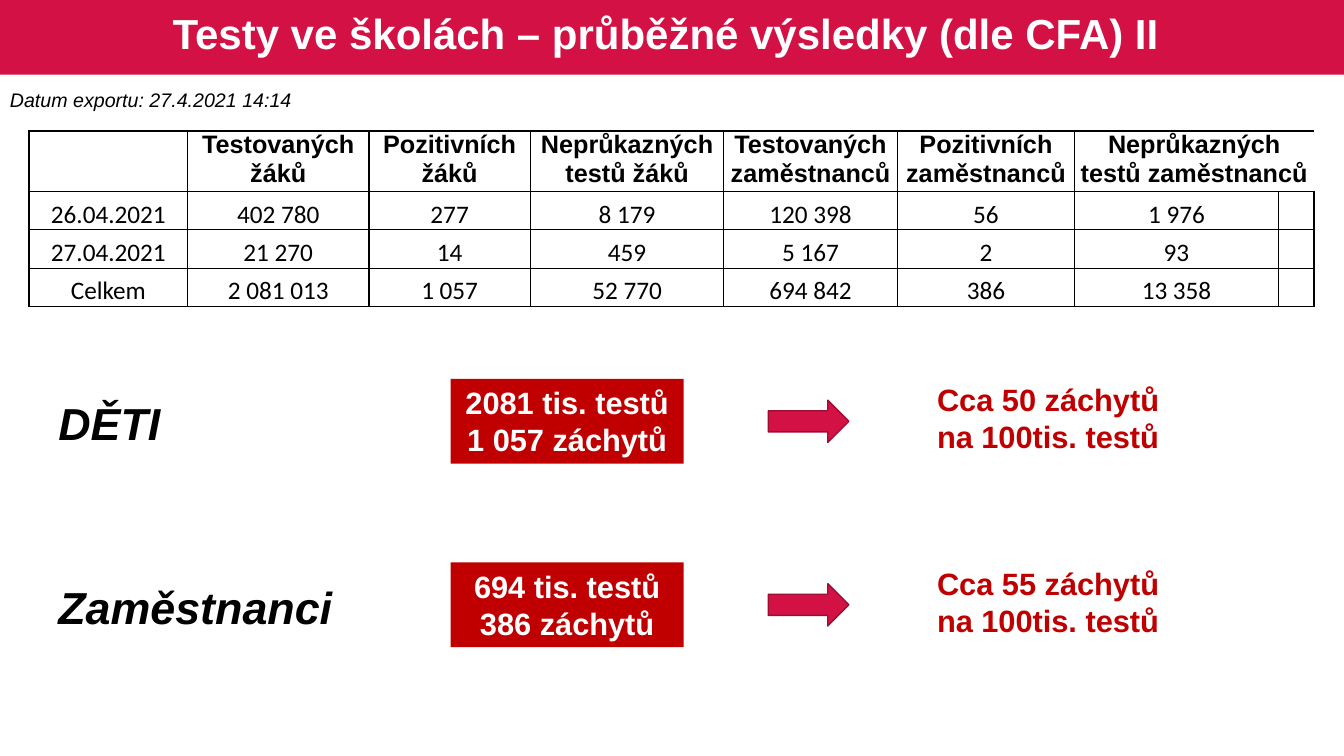
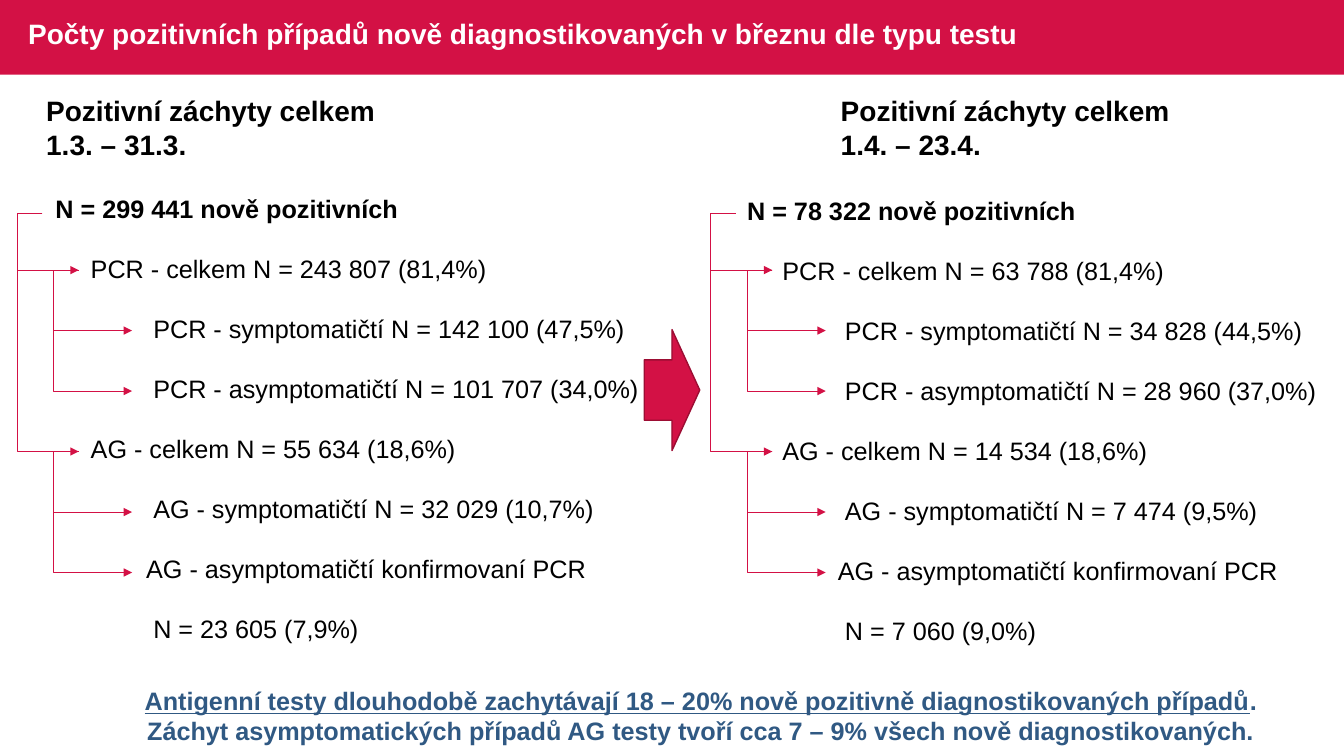
from lxml import etree
from pptx import Presentation
from pptx import util as u
from pptx.dml.color import RGBColor
from pptx.enum import shapes, text
from pptx.oxml.ns import qn

# Shared look
CRIMSON, DARK_CRIMSON, RED = "D31145", "9C0D33", "C00000"
BLACK, WHITE, BLUE = "000000", "FFFFFF", "305983"
FONT, TABLE_FONT = "Arial", "Calibri"
NO_STYLE = "{2D5ABB26-0587-4C30-8999-92F81FD0307C}"
SLIDE_W, SLIDE_H = 13.33, 7.5
LEFT, CENTER = text.PP_ALIGN.LEFT, text.PP_ALIGN.CENTER
TOP, MIDDLE, BOTTOM = (text.MSO_ANCHOR.TOP, text.MSO_ANCHOR.MIDDLE,
                       text.MSO_ANCHOR.BOTTOM)

# Slide content
TEST_COLS = [1.57, 1.8, 1.6, 1.92, 1.72, 1.76, 2.02, 0.35]
TEST_ROWS = [
    ["", "Testovaných žáků", "Pozitivních žáků", "Neprůkazných testů žáků",
     "Testovaných zaměstnanců", "Pozitivních zaměstnanců",
     "Neprůkazných testů zaměstnanců"],
    ["26.04.2021", "402 780", "277", "8 179", "120 398", "56", "1 976"],
    ["27.04.2021", "21 270", "14", "459", "5 167", "2", "93"],
    ["Celkem", "2 081 013", "1 057", "52 770", "694 842", "386", "13 358"],
]
GROUPS = [
    ("DĚTI", "2081 tis. testů\n1 057 záchytů",
     "Cca 50 záchytů na 100tis. testů"),
    ("Zaměstnanci", "694 tis. testů\n386 záchytů",
     "Cca 55 záchytů na 100tis. testů"),
]
TREE_LABELS = [  # indent, label
    (0, "N = {} nově pozitivních"),
    (0.35, "PCR - celkem N = {}"),
    (0.97, "PCR - symptomatičtí N = {}"),
    (0.97, "PCR - asymptomatičtí N = {}"),
    (0.35, "AG - celkem N = {}"),
    (0.97, "AG - symptomatičtí N = {}"),
    (0.9, "AG - asymptomatičtí konfirmovaní PCR"),
    (0.97, "N = {}"),
]
MARCH = ["299 441", "243 807 (81,4%)", "142 100 (47,5%)", "101 707 (34,0%)",
         "55 634 (18,6%)", "32 029 (10,7%)", "", "23 605 (7,9%)"]
APRIL = ["78 322", "63 788 (81,4%)", "34 828 (44,5%)", "28 960 (37,0%)",
         "14 534 (18,6%)", "7 474 (9,5%)", "", "7 060 (9,0%)"]


def rgb(color):
    return RGBColor.from_string(color)


def inches(*lengths):
    return [u.Inches(n) for n in lengths]


def format_text(tf, size, color=BLACK, bold=False, italic=False, align=LEFT,
                font=FONT, spacing=None):
    for p in tf.paragraphs:
        p.alignment = align
        if spacing:
            p.line_spacing = spacing
        for r in p.runs:
            r.font.name, r.font.size = font, u.Pt(size)
            r.font.bold, r.font.italic = bold, italic
            r.font.color.rgb = rgb(color)


def add_text(sl, box, content, size, anchor=TOP, **style):
    tf = sl.shapes.add_textbox(*inches(*box)).text_frame
    tf.word_wrap = True
    tf.vertical_anchor = anchor
    tf.text = content
    format_text(tf, size, **style)
    return tf


def add_shape(sl, kind, box, fill, line=None):
    s = sl.shapes.add_shape(kind, *inches(*box))
    s.shadow.inherit = False
    s.fill.solid()
    s.fill.fore_color.rgb = rgb(fill)
    if line:
        s.line.color.rgb = rgb(line)
        s.line.width = u.Pt(1)
    else:
        s.line.fill.background()
    return s


def add_label_box(sl, box, content, fill, color):
    tf = add_shape(sl, shapes.MSO_SHAPE.RECTANGLE, box, fill).text_frame
    tf.word_wrap = True
    tf.vertical_anchor = TOP
    tf.text = content
    format_text(tf, 22, color, bold=True, align=CENTER)


def add_arrow(sl, box):
    add_shape(sl, shapes.MSO_SHAPE.RIGHT_ARROW, box, CRIMSON, DARK_CRIMSON)


def add_titled_slide(prs, title, size, align=LEFT):
    sl = prs.slides.add_slide(prs.slide_layouts[6])
    add_shape(sl, shapes.MSO_SHAPE.RECTANGLE, (0, 0, SLIDE_W, 0.74), CRIMSON)
    add_text(sl, (0.18, 0.04, 12.85, 0.63), title, size, MIDDLE,
             color=WHITE, bold=True, align=align, spacing=0.9)
    return sl


# Tables
def add_plain_table(sl, x, y, cols, rows):
    frame = sl.shapes.add_table(len(rows), len(cols),
                                *inches(x, y, sum(cols), sum(rows)))
    tbl = frame.table
    tbl.first_row = tbl.horz_banding = False
    tbl._tbl.tblPr.find(qn("a:tableStyleId")).text = NO_STYLE
    for col, width in zip(tbl.columns, cols):
        col.width = u.Inches(width)
    for row, height in zip(tbl.rows, rows):
        row.height = u.Inches(height)
    return tbl


def set_borders(cell, widths):
    tc_pr = cell._tc.get_or_add_tcPr()
    for side in "LRTB":
        if side in widths:
            ln = etree.SubElement(tc_pr, qn(f"a:ln{side}"),
                                  w=str(u.Pt(widths[side])))
            fill = etree.SubElement(ln, qn("a:solidFill"))
            etree.SubElement(fill, qn("a:srgbClr"), val=BLACK)


def set_cell(cell, content, margins, anchor, **style):
    cell.fill.background()
    (cell.margin_left, cell.margin_top,
     cell.margin_right, cell.margin_bottom) = inches(*margins)
    cell.vertical_anchor = anchor
    cell.text_frame.text = content
    format_text(cell.text_frame, 18, **style)


def add_test_table(sl):
    tbl = add_plain_table(sl, 0.29, 1.3, TEST_COLS, [0.56] + [0.38] * 3)
    last = len(TEST_COLS) - 1
    tbl.cell(0, last - 1).merge(tbl.cell(0, last))
    for i, row in enumerate(TEST_ROWS):
        for j, content in enumerate(row + [""]):
            cell = tbl.cell(i, j)
            widths = {"L": 1 if j else 1.5, "R": 1 if j < last else 1.5,
                      "T": 1 if i else 1.5, "B": 1}
            # The narrow last column reads as part of its neighbour
            if j == last:
                del widths["L"]
            elif j == last - 1:
                del widths["R"]
            set_borders(cell, widths)
            if i == 0:
                set_cell(cell, content, (0.05, 0, 0.05, 0), TOP,
                         bold=True, align=CENTER)
            else:
                set_cell(cell, content, (0.01, 0.01, 0.01, 0), BOTTOM,
                         align=CENTER, font=TABLE_FONT)


# Tree of cases
def add_branch(sl, x1, y1, x2, y2, reach=0.25):
    """Elbow that steps left of its start by reach, then runs to its end."""
    c = sl.shapes.add_connector(shapes.MSO_CONNECTOR.ELBOW,
                                *inches(x1, y1, x2, y2))
    c.line.color.rgb = rgb(CRIMSON)
    c.line.width = u.Pt(0.5)
    sp_pr = c._element.spPr
    etree.SubElement(sp_pr.find(qn("a:prstGeom")).find(qn("a:avLst")),
                     qn("a:gd"), name="adj1",
                     fmla=f"val {round(-reach / (x2 - x1) * 100000)}")
    etree.SubElement(sp_pr.find(qn("a:ln")), qn("a:tailEnd"), type="triangle")
    etree.SubElement(sp_pr, qn("a:effectLst"))


def add_tree(sl, spine_x, table_box, heading_x, period, values):
    add_text(sl, (heading_x, 0.88, 3.6, 0.77),
             f"Pozitivní záchyty celkem\n{period}", 20, bold=True)
    x, y, width = table_box
    count = len(TREE_LABELS)
    tbl = add_plain_table(sl, x, y, [width], [4.76 / count] * count)
    for i, ((indent, label), value) in enumerate(zip(TREE_LABELS, values)):
        set_cell(tbl.cell(i, 0), label.format(value),
                 (0.01 + indent, 0.01, 0.01, 0), MIDDLE, bold=i == 0)

    root_x, total_x, leaf_x = (spine_x + d for d in (0.25, 0.61, 1.14))
    for total_row in (1, 4):
        total_y = 2.08 + 0.6 * total_row
        add_branch(sl, root_x, 2.12, total_x, total_y)
        for step in (1, 2):
            add_branch(sl, total_x, total_y, leaf_x, total_y + 0.6 * step)


# Slides
def build_school_tests(prs):
    sl = add_titled_slide(
        prs, "Testy ve školách – průběžné výsledky (dle CFA) II", 30, CENTER)
    add_text(sl, (0, 0.82, 3.2, 0.34), "Datum exportu: 27.4.2021 14:14", 14,
             italic=True)
    add_test_table(sl)
    for i, (name, counts, rate) in enumerate(GROUPS):
        y = 3.73 + 1.82 * i
        add_text(sl, (0.48, y + 0.15, 3.03, 0.64), name, 32,
                 bold=True, italic=True)
        add_label_box(sl, (4.47, y + 0.03, 2.31, 0.84), counts, RED, WHITE)
        add_arrow(sl, (7.62, y + 0.24, 0.8, 0.42))
        add_label_box(sl, (9.04, y, 2.71, 0.84), rate, WHITE, RED)


def build_case_types(prs):
    sl = add_titled_slide(
        prs, "Počty pozitivních případů nově diagnostikovaných v březnu "
        "dle typu testu", 20)
    add_tree(sl, 0.17, (0.54, 1.78, 6.06), 0.36, "1.3. – 31.3.", MARCH)
    add_tree(sl, 7.05, (7.4, 1.8, 5.78), 8.24, "1.4. – 23.4.", APRIL)
    add_arrow(sl, (6.39, 3.27, 0.55, 1.2))

    tf = add_text(sl, (1.26, 6.75, 11.38, 0.71),
                  "Antigenní testy dlouhodobě zachytávají 18 – 20% nově "
                  "pozitivně diagnostikovaných případů", 18)
    p = tf.paragraphs[0]
    p.runs[0].font.underline = True
    p.add_run().text = (". Záchyt asymptomatických případů AG testy tvoří "
                        "cca 7 – 9% všech nově diagnostikovaných.")
    format_text(tf, 18, BLUE, bold=True, align=CENTER)


def main():
    prs = Presentation()
    prs.slide_width, prs.slide_height = inches(SLIDE_W, SLIDE_H)
    build_school_tests(prs)
    build_case_types(prs)
    prs.save("out.pptx")


if __name__ == "__main__":
    main()
